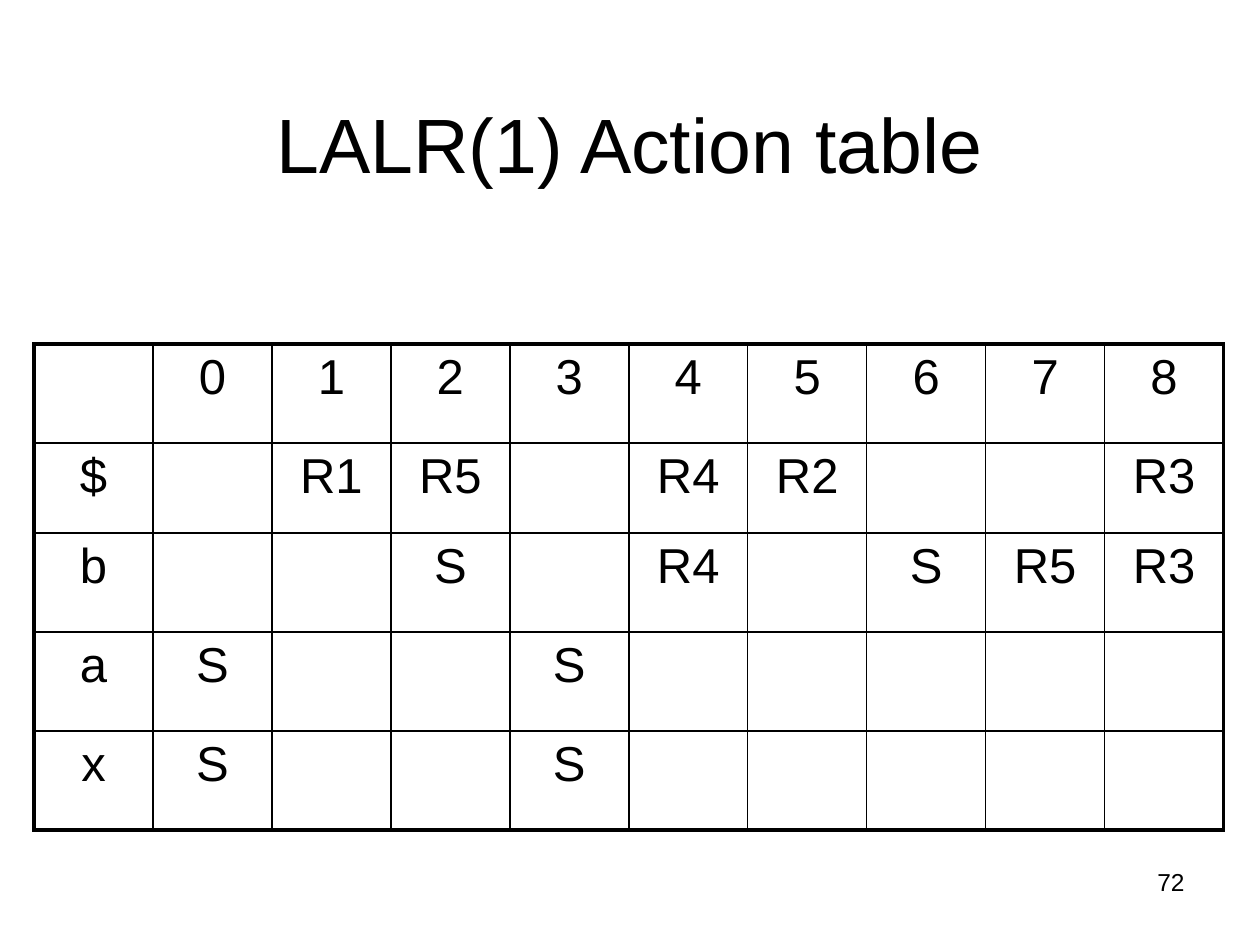
from lxml import etree
from pptx import Presentation
from pptx import util as u
from pptx.dml.color import RGBColor
from pptx.enum import text
from pptx.oxml import ns

SCALE = 914400 // 126
COLORS = {"ink": "000000"}
STATES = [str(state) for state in range(9)]
ACTIONS = {
    "$": {1: "R1", 2: "R5", 4: "R4", 5: "R2", 8: "R3"},
    "b": {2: "S", 4: "R4", 6: "S", 7: "R5", 8: "R3"},
    "a": {0: "S", 3: "S"},
    "x": {0: "S", 3: "S"},
}


def px(length):
    return u.Emu(length * SCALE)


def write(frame, words, size, align="CENTER", font="Arial", color="ink"):
    line = frame.paragraphs[0]
    line.alignment = getattr(text.PP_ALIGN, align)
    line.font.size = u.Pt(size)
    if words:
        run = line.add_run()
        run.text = words
        run.font.size = u.Pt(size)
        run.font.name = font
        run.font.color.rgb = RGBColor.from_string(COLORS[color])


class Deck:
    """Slide style and the element builders that use it."""

    thin, thick = 1, 2.25

    def __init__(self):
        self.show = Presentation()
        self.show.slide_width, self.show.slide_height = px(1260), px(945)
        self.slide = self.show.slides.add_slide(self.show.slide_layouts[6])

    def label(self, words, box, anchor="TOP", **style):
        frame = self.slide.shapes.add_textbox(*map(px, box)).text_frame
        frame.word_wrap = True
        frame.vertical_anchor = getattr(text.MSO_ANCHOR, anchor)
        write(frame, words, **style)

    def border(self, cell, outer):
        properties = cell._tc.get_or_add_tcPr()
        for place, side in enumerate("LRTB"):
            width = self.thick if outer[side] else self.thin
            edge = etree.Element(ns.qn(f"a:ln{side}"), w=str(u.Pt(width)))
            fill = etree.SubElement(edge, ns.qn("a:solidFill"))
            etree.SubElement(fill, ns.qn("a:srgbClr"), val=COLORS["ink"])
            properties.insert(place, edge)

    def table(self, grid, left, top, column, heights, size):
        rows, columns = len(grid), len(grid[0])
        box = (left, top, column * columns, sum(heights))
        table = self.slide.shapes.add_table(rows, columns, *map(px, box)).table
        table.first_row = table.horz_banding = False
        for part in table.columns:
            part.width = px(column)
        for r, height in enumerate(heights):
            table.rows[r].height = px(height)
            for c, words in enumerate(grid[r]):
                cell = table.cell(r, c)
                cell.fill.background()
                write(cell.text_frame, words, size)
                self.border(cell, {"L": c == 0, "R": c == columns - 1,
                                   "T": r == 0, "B": r == rows - 1})


def main():
    deck = Deck()
    deck.label("72", (903, 861, 294, 66), size=14, align="RIGHT")
    deck.label("LALR(1) Action table", (63, 38, 1134, 157), anchor="BOTTOM", size=44)
    grid = [["", *STATES]]
    for symbol, moves in ACTIONS.items():
        grid.append([symbol, *(moves.get(int(state), "") for state in STATES)])
    deck.table(grid, 34, 344, 119, [99, 90, 99, 99, 99], size=28)
    deck.show.save("out.pptx")


if __name__ == "__main__":
    main()
